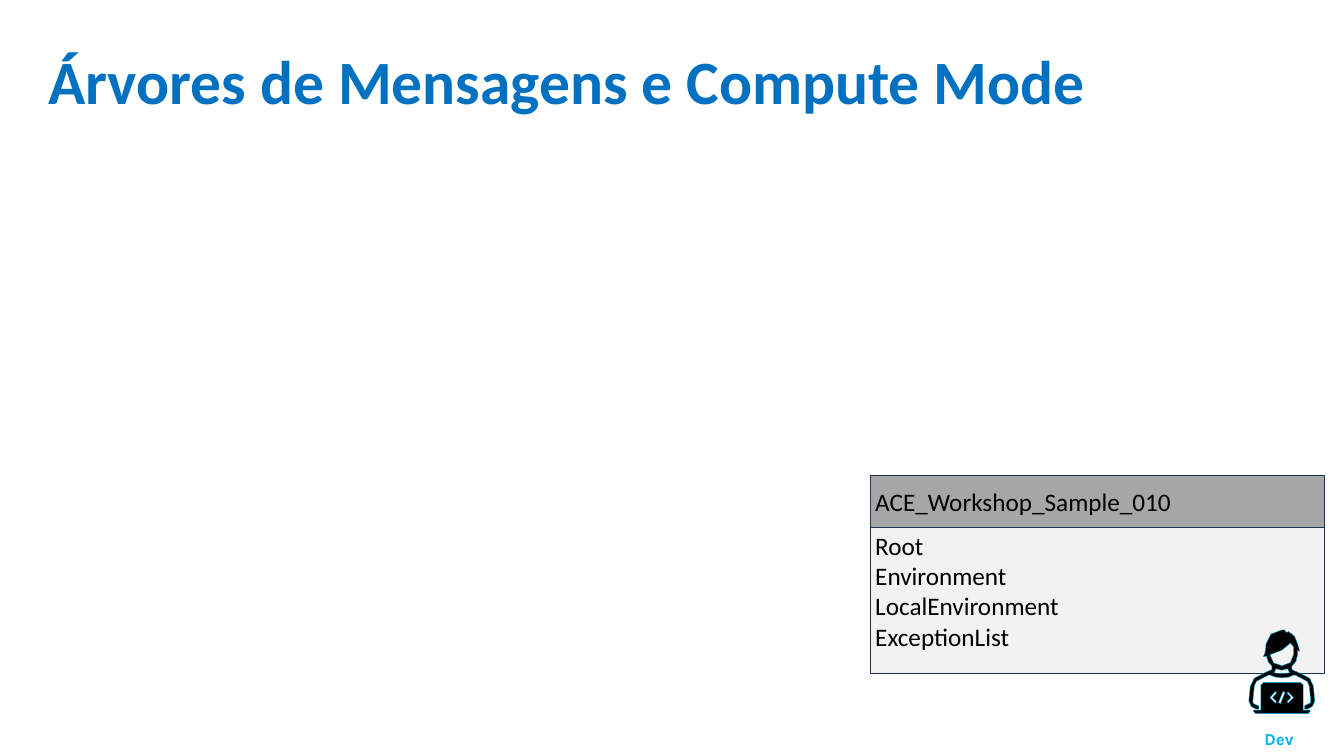
from pptx import Presentation
from pptx.dml.color import RGBColor
from pptx.enum import shapes, text
from pptx.util import Pt

TITLE_BLUE = RGBColor(0x00, 0x70, 0xC0)
SKY_BLUE = RGBColor(0x00, 0xB0, 0xF0)
NAVY = RGBColor(0x1E, 0x32, 0x56)
HEADER_GREY = RGBColor(0xA6, 0xA6, 0xA6)
BODY_GREY = RGBColor(0xF2, 0xF2, 0xF2)
BLACK = RGBColor(0, 0, 0)

PANEL_LEFT, PANEL_TOP, PANEL_WIDTH = 1243.4, 679.7, 649.4
HEADER_HEIGHT, BODY_HEIGHT = 74.2, 207.4
ICON_LEFT, ICON_TOP = 1784.2, 900

# Icon outlines, in points from the icon's top left corner
PERSON = [
    (67, 64.8), (83.5, 73.4), (86.4, 80), (88.6, 102.2), (87.8, 104.4),
    (79.9, 108), (79.9, 113), (84.2, 113), (90.7, 109.4), (94.3, 101.5),
    (92.2, 80), (87.1, 69), (69, 59.8), (62, 57), (61.2, 52.6),
    (67.5, 44.6), (69.8, 34.6), (69.8, 29.5), (72.7, 30.2), (70.6, 23),
    (69.8, 20.2), (65.5, 9), (56.9, 2.2), (54, 3.6), (51.1, 0),
    (46.8, 0), (31.5, 6), (24.5, 20.2), (24.5, 23.8), (23, 33.1),
    (20.9, 38.2), (25.2, 37.4), (28, 46), (33.1, 51.8), (33.1, 55.4),
    (32.4, 56.9), (25.2, 59.8), (7.9, 69), (2.2, 80), (0, 101.5),
    (3.6, 109.4), (10.1, 113), (14.4, 113), (14.4, 108.7), (6.5, 105.1),
    (5.8, 102.2), (7.9, 80), (10.8, 73.4), (27.4, 64.8), (29.5, 64.1),
    (38, 67.4), (47.5, 68.4), (57, 67.4), (64.8, 64.1),
]
FACE = [(30.2, 35.3), (47, 29), (59.8, 18.7), (64.1, 24.5), (64.1, 34.6),
        (59.5, 46.5), (47.5, 51.1), (35.5, 47)]
NECK = [(36, 61.2), (38.9, 55.4), (47, 57.5), (55.4, 55.4), (58.3, 61.2),
        (46.8, 62.6)]
LAPTOP = [(77.8, 78.5), (74.2, 74.9), (20.9, 74.9), (17.3, 78.5),
          (17.3, 114.5), (6.5, 114.5), (6.5, 116), (10.1, 119.5),
          (85, 119.5), (87.8, 116), (87.8, 114.5), (77.8, 114.5)]
LESS_THAN = [(39.6, 102.2), (38.2, 104.4), (30.2, 96.5), (38.2, 87.8),
             (39.6, 90), (33.8, 96.5)]
SLASH = [(45.4, 105.1), (42.5, 103.7), (49, 87.8), (51.8, 89.3)]
GREATER_THAN = [(56.2, 104.4), (54.7, 102.2), (60.5, 96.5), (54.7, 90),
                (56.2, 88.6), (64.1, 96.5)]


def write(shape, lines, *, size, color=BLACK, font="Calibri", bold=False,
          align=text.PP_ALIGN.LEFT, anchor=text.MSO_ANCHOR.TOP, spacing=None):
    frame = shape.text_frame
    frame.word_wrap = True
    frame.vertical_anchor = anchor
    frame.text = "\n".join(lines)
    for paragraph in frame.paragraphs:
        paragraph.alignment = align
        paragraph.line_spacing = spacing
        paragraph.font.size = Pt(size)
        paragraph.font.name = font
        paragraph.font.bold = bold
        paragraph.font.color.rgb = color


def paint(shape, fill, line, width):
    shape.shadow.inherit = False
    shape.fill.solid()
    shape.fill.fore_color.rgb = fill
    shape.line.color.rgb = line
    shape.line.width = Pt(width)


def add_label(parent, left, top, width, height, line, **style):
    box = parent.add_textbox(Pt(left), Pt(top), Pt(width), Pt(height))
    write(box, [line], **style)


def add_panel_part(slide, top, height, fill, lines, anchor):
    part = slide.shapes.add_shape(
        shapes.MSO_SHAPE.RECTANGLE,
        Pt(PANEL_LEFT), Pt(top), Pt(PANEL_WIDTH), Pt(height))
    paint(part, fill, NAVY, 1)
    write(part, lines, size=36, align=text.PP_ALIGN.JUSTIFY, anchor=anchor)


def add_outline(parent, *contours):
    """Draw one filled shape; contours inside the first become holes."""
    placed = [[(Pt(ICON_LEFT + x), Pt(ICON_TOP + y)) for x, y in contour]
              for contour in contours]
    builder = parent.build_freeform(*placed[0][0])
    builder.add_line_segments(placed[0][1:], close=True)
    for hole in placed[1:]:
        builder.move_to(*hole[0])
        builder.add_line_segments(hole[1:], close=True)
    paint(builder.convert_to_shape(), BLACK, SKY_BLUE, 0.57)


def add_developer(slide):
    developer = slide.shapes.add_group_shape().shapes
    add_outline(developer, PERSON, FACE, NECK)
    add_outline(developer, LAPTOP, LESS_THAN, SLASH, GREATER_THAN)
    add_label(developer, 1734.5, 1036.8, 185.7, 36, "Dev", size=24,
              font="Karla", color=SKY_BLUE, bold=True,
              align=text.PP_ALIGN.CENTER)


def main():
    deck = Presentation()
    deck.slide_width, deck.slide_height = Pt(1920.24), Pt(1080)
    slide = deck.slides.add_slide(deck.slide_layouts[6])

    add_panel_part(slide, PANEL_TOP, HEADER_HEIGHT, HEADER_GREY,
                   ["ACE_Workshop_Sample_010"], text.MSO_ANCHOR.MIDDLE)
    add_panel_part(slide, PANEL_TOP + HEADER_HEIGHT, BODY_HEIGHT, BODY_GREY,
                   ["Root", "Environment", "LocalEnvironment",
                    "ExceptionList"], text.MSO_ANCHOR.TOP)
    add_label(slide.shapes, 61.9, 37.4, 1666, 178.6,
              "Árvores de Mensagens e Compute Mode", size=88,
              color=TITLE_BLUE, bold=True, spacing=0.7,
              anchor=text.MSO_ANCHOR.MIDDLE)
    add_developer(slide)

    deck.save("out.pptx")


if __name__ == "__main__":
    main()
